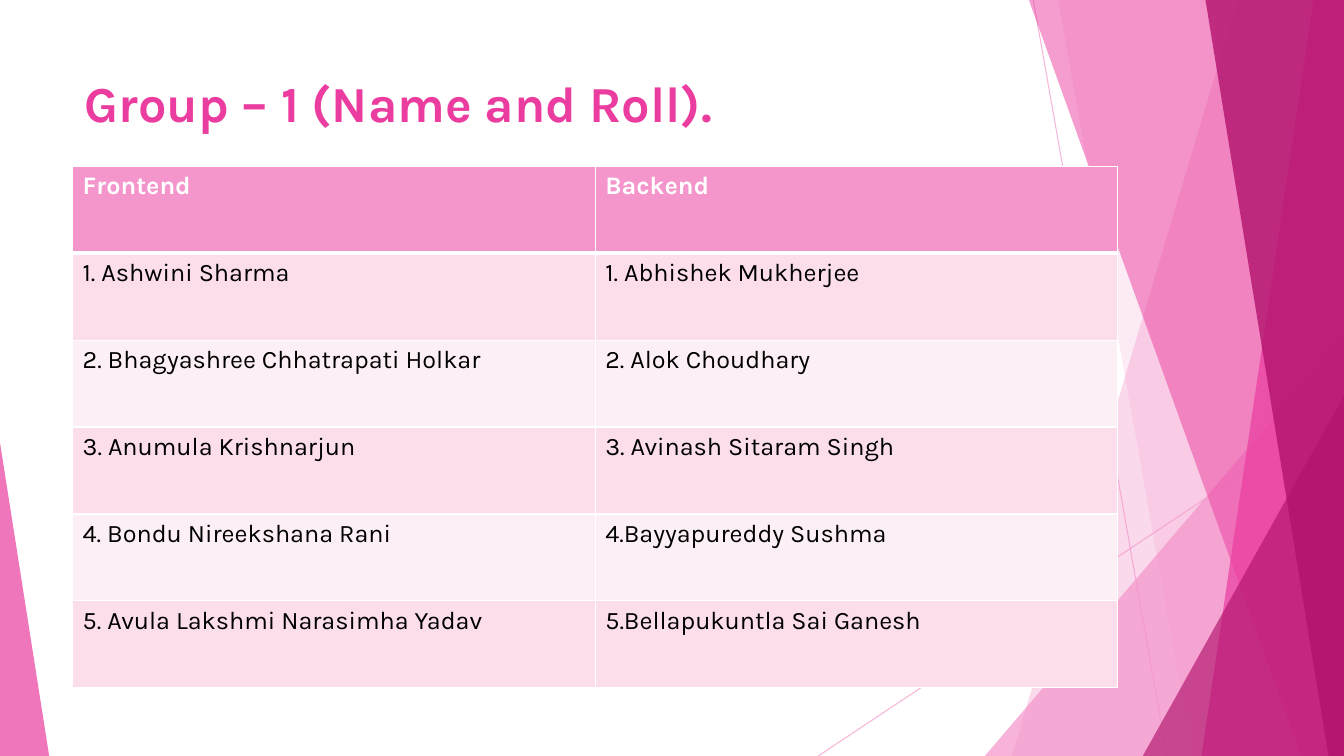
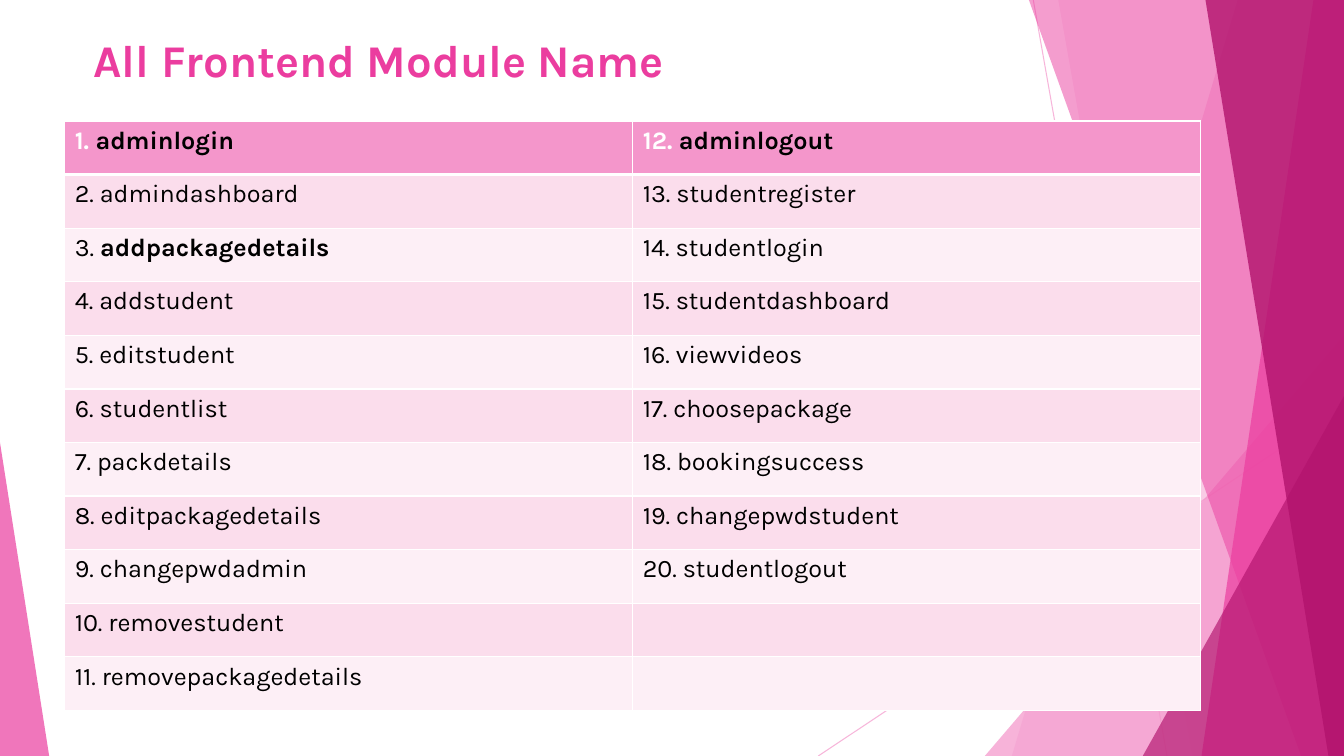
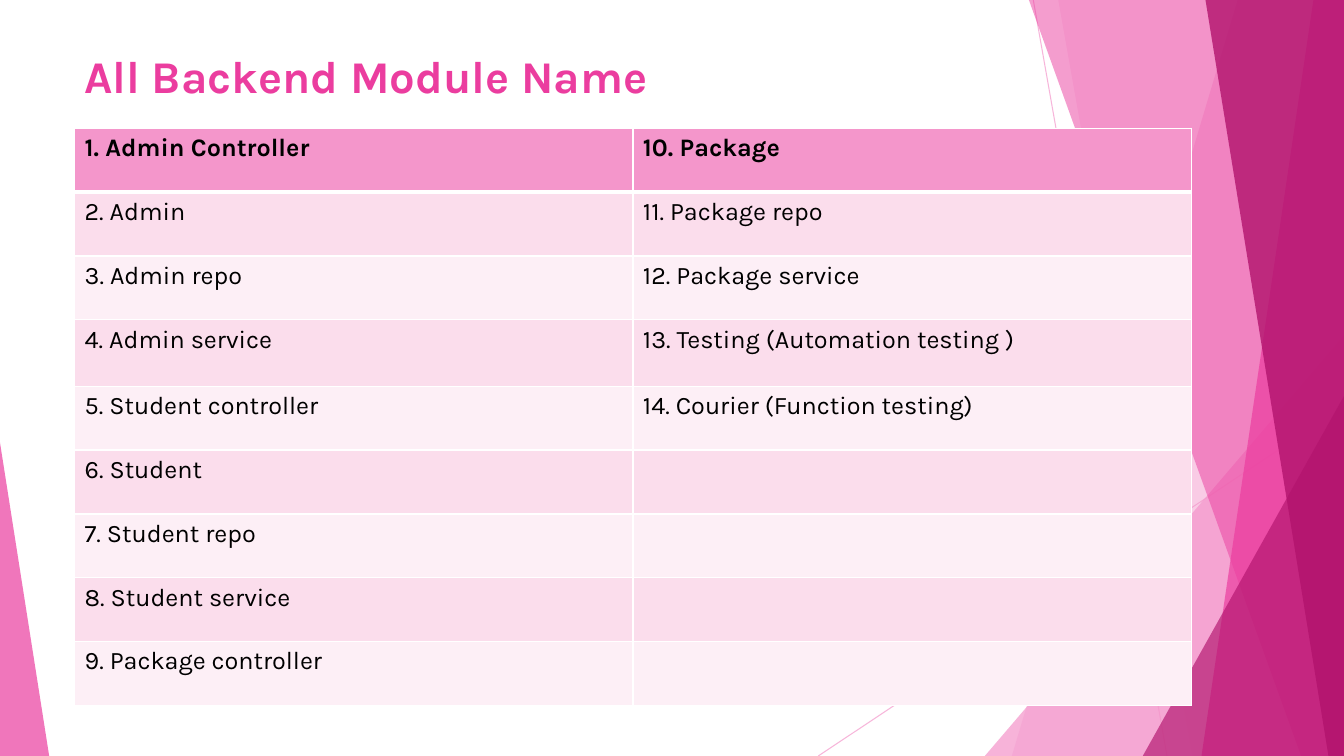
from itertools import zip_longest

from lxml.etree import SubElement
from pptx import Presentation
from pptx.dml.color import RGBColor
from pptx.enum.shapes import MSO_CONNECTOR, MSO_SHAPE
from pptx.enum.text import MSO_ANCHOR
from pptx.oxml import parse_xml
from pptx.oxml.ns import nsdecls, qn
from pptx.util import Cm, Pt

WIDE, HIGH = 33.87, 19.05
FONT = "Karla"
PINK, ROSE, WINE = "F496CB", "EB3D9F", "B2136D"
WHITE, BLACK = "FFFFFF", "000000"
BANDS = ("FDEFF6", "FBDDEC")


def paint(target, color, alpha=100):
    target.solid()
    target.fore_color.rgb = RGBColor.from_string(color)
    if alpha < 100:
        node = target._xPr.find(qn("a:solidFill"))[0]
        SubElement(node, qn("a:alpha")).set("val", str(alpha * 1000))


class Deck:
    def __init__(self):
        self.show = Presentation()
        self.show.slide_width = Cm(WIDE)
        self.show.slide_height = Cm(HIGH)
        self.slide = None

    def page(self):
        self.slide = self.show.slides.add_slide(self.show.slide_layouts[6])
        self.line(26.04, 0, 29.41, HIGH)
        self.line(WIDE, 10.24, 20.62, HIGH)
        self.shard(31.19, 25.5, PINK, 36)
        self.shard(26.67, 30.05, PINK, 20)
        self.wedge(24.82, 8.46, WIDE, 1, PINK, 72)
        self.shard(25.93, 32.79, ROSE, 50)
        self.shard(33.1, 30.28, ROSE, 70)
        self.shard(30.38, 33.48, WINE, 80)
        self.wedge(28.8, 9.98, WIDE, 1, WINE, 66)
        self.wedge(0, 11.15, 1.24, 0, ROSE, 70)

    def line(self, left, top, right, base):
        line = self.slide.shapes.add_connector(
            MSO_CONNECTOR.STRAIGHT, Cm(left), Cm(top), Cm(right), Cm(base))
        line.line.width = Pt(0.75)
        paint(line.line.fill, PINK, 70)
        SubElement(line._element.spPr, qn("a:effectLst"))

    def finish(self, shape, color, alpha):
        shape.shadow.inherit = False
        shape.line.fill.background()
        paint(shape.fill, color, alpha)

    def shard(self, top, base, color, alpha):
        pen = self.slide.shapes.build_freeform(Cm(top), 0)
        corners = ((WIDE, 0), (WIDE, HIGH), (base, HIGH))
        pen.add_line_segments([(Cm(x), Cm(y)) for x, y in corners])
        self.finish(pen.convert_to_shape(), color, alpha)

    def wedge(self, left, top, right, peak, color, alpha):
        shape = self.slide.shapes.add_shape(
            MSO_SHAPE.ISOSCELES_TRIANGLE,
            Cm(left), Cm(top), Cm(right - left), Cm(HIGH - top))
        shape.adjustments[0] = peak
        self.finish(shape, color, alpha)

    def style(self, font, size, color, bold):
        font.name = FONT
        font.size = Pt(size)
        font.bold = bold
        font.color.rgb = RGBColor.from_string(color)

    def title(self, text, left, top, high, size):
        box = self.slide.shapes.add_textbox(
            Cm(left), Cm(top), Cm(23.88), Cm(high))
        frame = box.text_frame
        frame.word_wrap = True
        frame.vertical_anchor = MSO_ANCHOR.TOP
        frame.text = text
        self.style(frame.paragraphs[0].runs[0].font, size, ROSE, True)

    def edges(self, cell, row):
        props = cell._tc.get_or_add_tcPr()
        widths = {"L": 1, "R": 1, "T": 3 if row == 1 else 1,
                  "B": 3 if row == 0 else 1}
        for spot, (side, width) in enumerate(widths.items()):
            props.insert(spot, parse_xml(
                f'<a:ln{side} {nsdecls("a")} w="{Pt(width)}"><a:solidFill>'
                f'<a:srgbClr val="{WHITE}"/></a:solidFill></a:ln{side}>'))

    def cell(self, cell, text, row, head):
        paint(cell.fill, BANDS[row % 2] if row else PINK)
        self.edges(cell, row)
        para = cell.text_frame.paragraphs[0]
        lead, _, strong = text.partition("|")
        if not text:
            para.font.size = Pt(18)
            return
        para.text = lead
        self.style(para.runs[0].font, 18, BLACK if row else head, row == 0)
        if strong:
            run = para.add_run()
            run.text = strong
            self.style(run.font, 18, BLACK, True)

    def table(self, left, top, wide, highs, columns, head):
        rows = list(zip_longest(*columns, fillvalue=""))
        table = self.slide.shapes.add_table(
            len(rows), len(columns), Cm(left), Cm(top),
            Cm(wide), Cm(sum(highs))).table
        table.horz_banding = False
        for column in table.columns:
            column.width = Cm(wide / len(columns))
        for row, texts in enumerate(rows):
            table.rows[row].height = Cm(highs[row])
            for col, text in enumerate(texts):
                self.cell(table.cell(row, col), text, row, head)


def main():
    deck = Deck()

    deck.page()
    deck.title("Group – 1 (Name and Roll).", 1.88, 1.7, 3.66, 36)
    front = ["Frontend", "1. Ashwini Sharma",
             "2. Bhagyashree Chhatrapati Holkar", "3. Anumula Krishnarjun",
             "4. Bondu Nireekshana Rani", "5. Avula Lakshmi Narasimha Yadav"]
    back = ["Backend", "1. Abhishek Mukherjee", "2. Alok Choudhary",
            "3. Avinash Sitaram Singh", "4.Bayyapureddy Sushma",
            "5.Bellapukuntla Sai Ganesh"]
    deck.table(1.83, 4.19, 26.34, [2.19] * 6, [front, back], WHITE)

    deck.page()
    deck.title("All Frontend Module Name", 2.11, 0.69, 1.32, 32.4)
    admin = ["1. |adminlogin", "2. admindashboard", "3. |addpackagedetails",
             "4. addstudent", "5. editstudent", "6. studentlist",
             "7. packdetails", "8. editpackagedetails", "9. changepwdadmin",
             "10. removestudent", "11. removepackagedetails"]
    student = ["12. |adminlogout", "13. studentregister", "14. studentlogin",
               "15. studentdashboard", "16. viewvideos", "17. choosepackage",
               "18. bookingsuccess", "19. changepwdstudent",
               "20. studentlogout"]
    deck.table(1.63, 3.05, 28.63, [1.35] * 11, [admin, student], WHITE)

    deck.page()
    deck.title("All Backend Module Name", 1.88, 1.09, 1.65, 32.4)
    users = ["1. Admin Controller", "2. Admin", "3. Admin repo",
             "4. Admin service", "5. Student controller", "6. Student",
             "7. Student repo", "8. Student service", "9. Package controller"]
    other = ["10. Package", "11. Package repo", "12. Package service",
             "13. Testing (Automation testing )",
             "14. Courier (Function testing)"]
    highs = [1.61] * 3 + [1.67] + [1.61] * 5
    deck.table(1.88, 3.23, 28.14, highs, [users, other], BLACK)

    deck.show.save("out.pptx")


if __name__ == "__main__":
    main()
